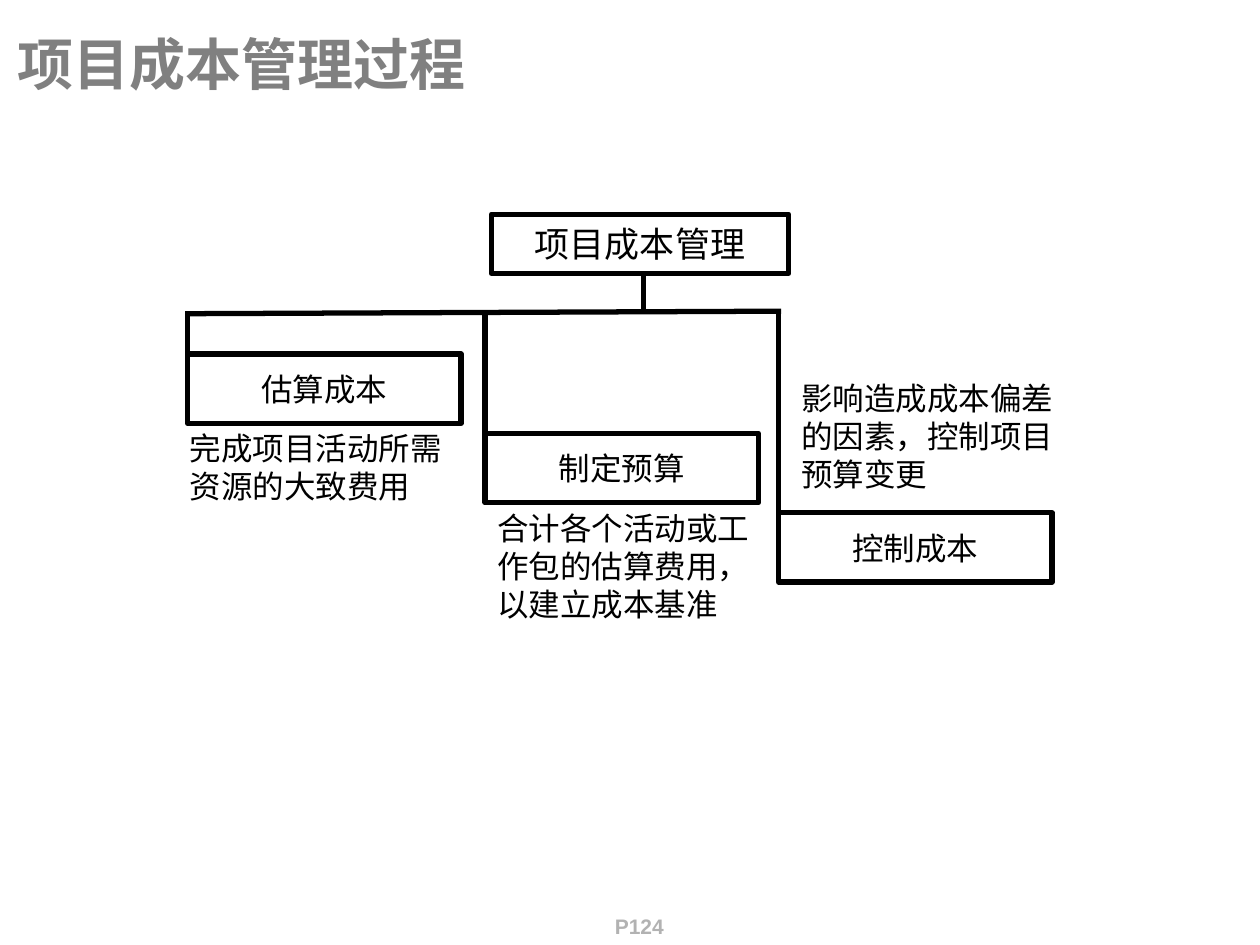
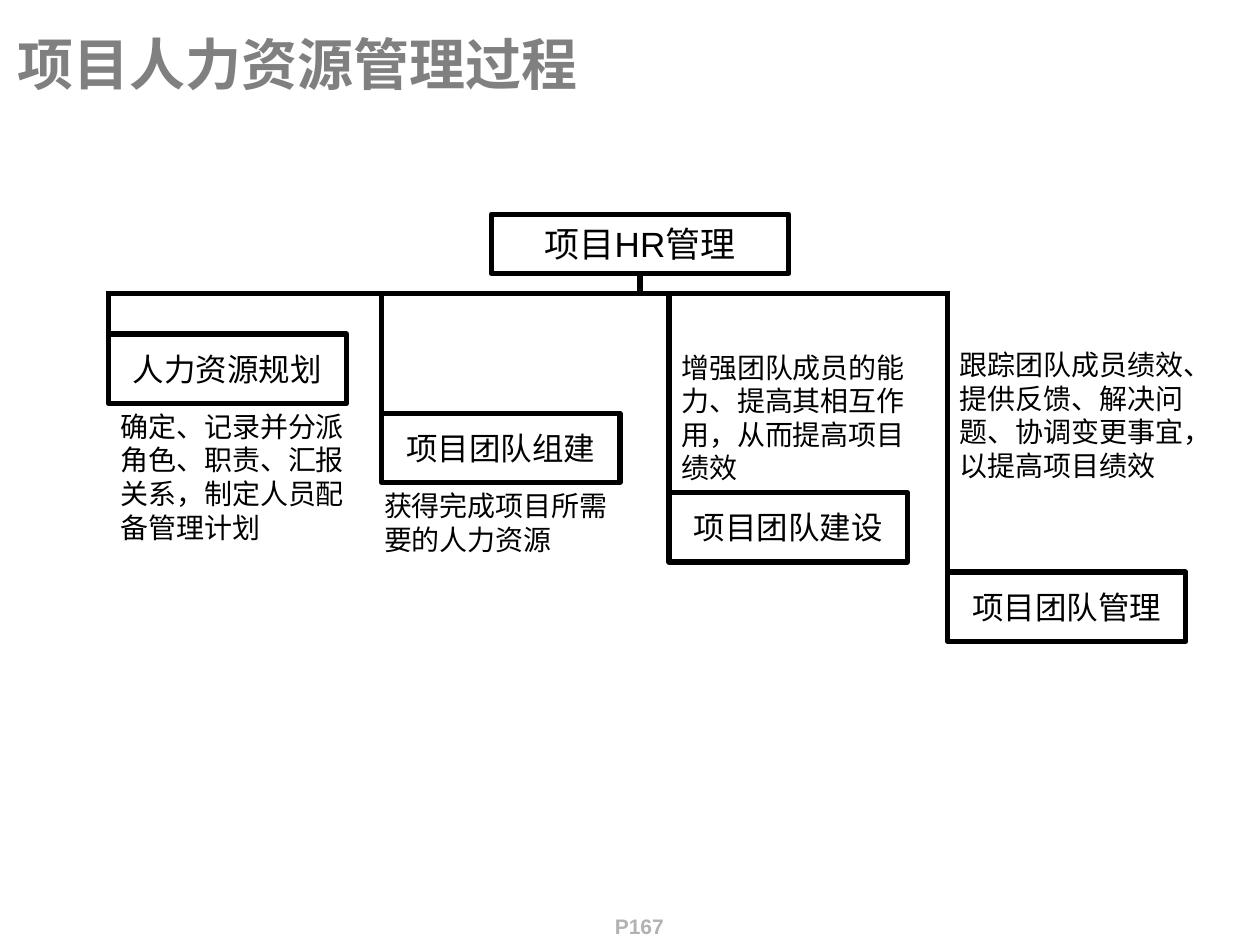
from pptx import Presentation
from pptx.dml.color import RGBColor
from pptx.enum import shapes as sh, text as tx
from pptx.oxml import ns
from pptx.util import Inches, Pt
from lxml import etree

BLACK = RGBColor(0x00, 0x00, 0x00)
GREY = RGBColor(0x80, 0x80, 0x80)
PALE = RGBColor(0xB2, 0xB2, 0xB2)
FONT = "Arial"
LINE = Pt(3)
LEFT, MID = tx.PP_ALIGN.LEFT, tx.PP_ALIGN.CENTER
TOP, BOX_H, STEP = 1.7, 0.55, 0.63

CHARTS = [
    {
        "title": "项目成本管理过程", "page": "P124", "root": "项目成本管理",
        "beam": (1.47, 2.49, 6.2, 2.47), "stem": 5.11, "rail": 2.49,
        "first": 2.81, "wide": 2.17, "size": 18,
        "steps": [
            (1.49, "估算成本", (1.41, 3.36, 2.33, 0.7), "完成项目活动所需资源的大致费用"),
            (3.85, "制定预算", (3.85, 3.99, 2.26, 1), "合计各个活动或工作包的估算费用，以建立成本基准"),
            (6.18, "控制成本", (6.26, 2.96, 2.21, 1), "影响造成成本偏差的因素，控制项目预算变更"),
        ],
    },
    {
        "title": "项目人力资源管理过程", "page": "P167", "root": "项目HR管理",
        "beam": (0.84, 2.33, 7.54, 2.33), "stem": 5.08, "rail": 2.33,
        "first": 2.65, "wide": 1.89, "size": 16,
        "steps": [
            (0.86, "人力资源规划", (0.86, 3.2, 2.1, 1.17), "确定、记录并分派角色、职责、汇报关系，制定人员配备管理计划"),
            (3.03, "项目团队组建", (2.95, 3.83, 2.13, 0.64), "获得完成项目所需要的人力资源"),
            (5.31, "项目团队建设", (5.31, 2.73, 2.13, 1.17), "增强团队成员的能力、提高其相互作用，从而提高项目绩效"),
            (7.52, "项目团队管理", (7.52, 2.71, 1.97, 1.44), "跟踪团队成员绩效、提供反馈、解决问题、协调变更事宜，以提高项目绩效"),
        ],
    },
]


def write(shape, words, size, color=BLACK, align=LEFT, bold=False, wrap=True,
          anchor=tx.MSO_ANCHOR.TOP):
    frame = shape.text_frame
    frame.word_wrap = wrap
    frame.vertical_anchor = anchor
    para = frame.paragraphs[0]
    para.alignment = align
    run = para.add_run()
    run.text = words
    run.font.size = Pt(size)
    run.font.name = FONT
    run.font.bold = bold
    run.font.color.rgb = color


def link(slide, *ends):
    line = slide.shapes.add_connector(sh.MSO_CONNECTOR.STRAIGHT, *map(Inches, ends))
    line.line.color.rgb = BLACK
    line.line.width = LINE
    etree.SubElement(line._element.spPr, ns.qn("a:effectLst"))


deck = Presentation()
deck.slide_width, deck.slide_height = Inches(10), Inches(7.5)

for chart in CHARTS:
    slide = deck.slides.add_slide(deck.slide_layouts[5])
    title = slide.shapes.title
    title.left, title.top = Inches(0.04), Inches(0.17)
    title.width, title.height = Inches(9.96), Inches(0.66)
    write(title, chart["title"], 32, GREY, bold=True, anchor=tx.MSO_ANCHOR.MIDDLE)

    page = slide.shapes.add_textbox(*map(Inches, (4.76, 7.2, 0.63, 0.33)))
    write(page, chart["page"], 12, PALE, MID, bold=True)

    rail = chart["rail"]
    boxes = [(3.9, TOP, 2.36, 0.47, chart["root"], 20)]
    for i, (x, name, place, note) in enumerate(chart["steps"]):
        y = chart["first"] + i * STEP
        boxes.append((x, y, chart["wide"], BOX_H, name, 18))
        link(slide, x, rail, x, y)
        label = slide.shapes.add_textbox(*map(Inches, place))
        write(label, note, chart["size"])

    for *place, name, size in boxes:
        box = slide.shapes.add_shape(sh.MSO_SHAPE.RECTANGLE, *map(Inches, place))
        box.shadow.inherit = False
        box.fill.background()
        box.line.color.rgb = BLACK
        box.line.width = LINE
        write(box, name, size, align=MID, wrap=False, anchor=tx.MSO_ANCHOR.MIDDLE)

    link(slide, *chart["beam"])
    link(slide, chart["stem"], TOP + 0.47, chart["stem"], rail)

deck.save("out.pptx")
